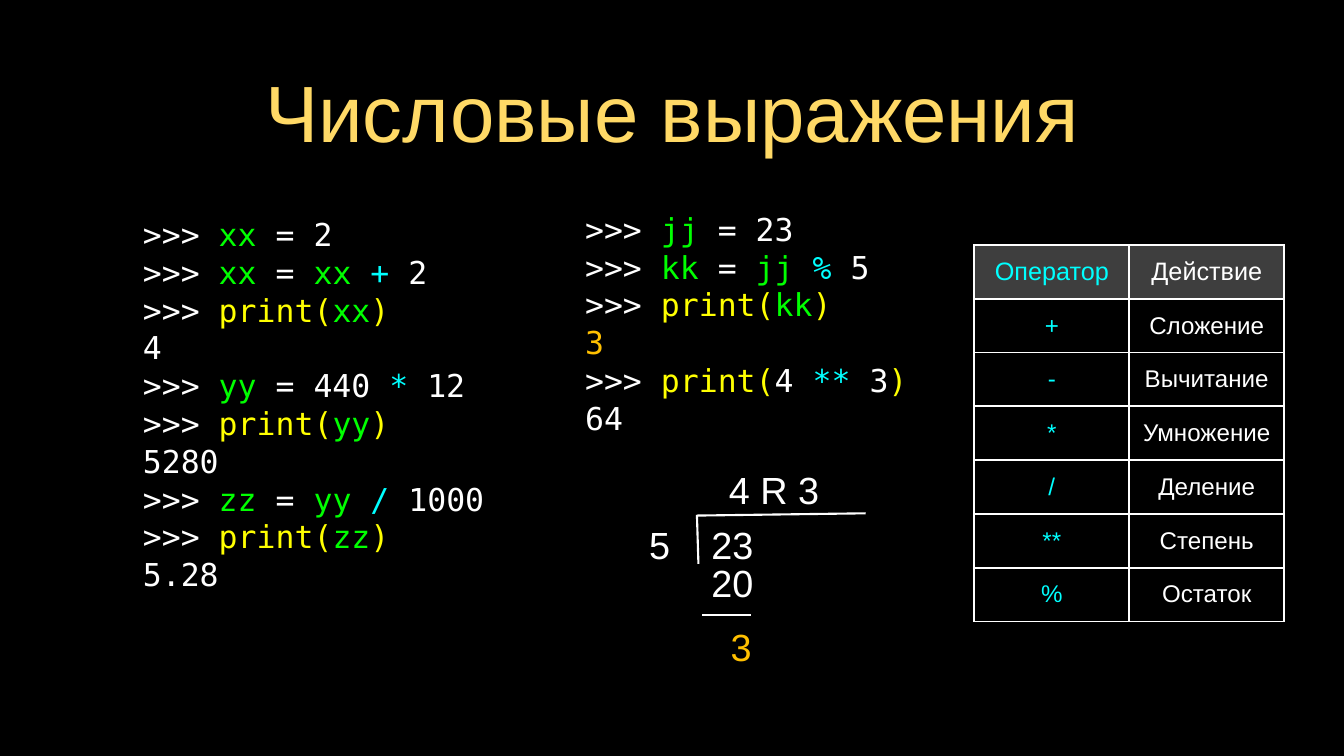
import pptx
import pptx.util
import pptx.dml.color
import pptx.enum.shapes
import pptx.enum.text
import pptx.oxml.ns
from lxml import etree

Inches, Pt = pptx.util.Inches, pptx.util.Pt
RGBColor = pptx.dml.color.RGBColor
ALIGN = pptx.enum.text.PP_ALIGN
MIDDLE = pptx.enum.text.MSO_ANCHOR.MIDDLE
qn = pptx.oxml.ns.qn

BLACK = RGBColor(0x00, 0x00, 0x00)
WHITE = RGBColor(0xFF, 0xFF, 0xFF)
GOLD = RGBColor(0xFF, 0xD9, 0x66)
GREEN = RGBColor(0x00, 0xFF, 0x00)
CYAN = RGBColor(0x00, 0xFF, 0xFF)
YELLOW = RGBColor(0xFF, 0xFF, 0x00)
ORANGE = RGBColor(0xFF, 0xC0, 0x00)
GREY = RGBColor(0x7F, 0x7F, 0x7F)

SANS, MONO = "Arial", "DejaVu Sans Mono"

TOKEN_COLOURS = {
    **dict.fromkeys(["xx", "yy", "zz", "jj", "kk"], GREEN),
    **dict.fromkeys(["+", "*", "/", "%", "**"], CYAN),
    **dict.fromkeys(["print(", ")"], YELLOW),
}

# "|" separates the tokens of a line
LEFT_CODE = [
    ">>> |xx| = 2",
    ">>> |xx| = |xx |+| 2",
    ">>> |print(|xx|)",
    "4",
    ">>> |yy| = 440 |*| 12",
    ">>> |print(|yy|)",
    "5280",
    ">>> |zz| = |yy |/| 1000",
    ">>> |print(|zz|)",
    "5.28",
]
RIGHT_CODE = [
    ">>> |jj| = 23",
    ">>> |kk| = |jj |% |5",
    ">>> |print(|kk|)",
    "3",
    ">>> |print(|4 |** |3|)",
    "64",
]
REMAINDER = "3"

OPERATORS = [
    ("Оператор", "Действие"),
    ("+", "Сложение"),
    ("-", "Вычитание"),
    ("*", "Умножение"),
    ("/", "Деление"),
    ("**", "Степень"),
    ("%", "Остаток"),
]


def set_font(r, name, size, colour):
    r.font.name = name
    r.font.size = Pt(size)
    r.font.bold = False
    r.font.color.rgb = colour


def set_margins(frame, inches):
    frame.margin_left = frame.margin_right = Inches(inches)
    frame.margin_top = frame.margin_bottom = Inches(inches)


def add_text_frame(s, x, y, w, h):
    sp = s.shapes.add_textbox(Inches(x), Inches(y), Inches(w), Inches(h))
    tf = sp.text_frame
    tf.word_wrap = True
    tf.vertical_anchor = MIDDLE
    set_margins(tf, 0)
    return tf


def add_title(s, x, y, w, h):
    sp = s.shapes.title
    sp.left, sp.top, sp.width, sp.height = map(Inches, (x, y, w, h))
    tf = sp.text_frame
    tf.text = "Числовые выражения"
    tf.vertical_anchor = MIDDLE
    set_margins(tf, 0.04)
    p = tf.paragraphs[0]
    p.alignment = ALIGN.CENTER
    set_font(p.runs[0], SANS, 76, GOLD)


def add_code(s, lines, x, y, w, h):
    tf = add_text_frame(s, x, y, w, h)
    for i, line in enumerate(lines):
        p = tf.add_paragraph() if i else tf.paragraphs[0]
        p.line_spacing = Pt(36)
        for token in line.split("|"):
            r = p.add_run()
            r.text = token
            colour = TOKEN_COLOURS.get(token.strip(), WHITE)
            set_font(r, MONO, 30, ORANGE if line == REMAINDER else colour)


def add_cell_borders(cell):
    tc_pr = cell._tc.get_or_add_tcPr()
    for side in ("a:lnL", "a:lnR", "a:lnT", "a:lnB"):
        ln = etree.SubElement(tc_pr, qn(side), w=str(Pt(2)))
        fill = etree.SubElement(ln, qn("a:solidFill"))
        etree.SubElement(fill, qn("a:srgbClr"), val=str(WHITE))


def fill_header(cell):
    """Fill the cell with half-transparent grey."""
    cell.fill.solid()
    cell.fill.fore_color.rgb = GREY
    colour = cell._tc.tcPr.find(qn("a:solidFill"))[0]
    etree.SubElement(colour, qn("a:alpha"), val="49000")


def add_operator_table(s, x, y, w, h):
    rows, cols = len(OPERATORS), len(OPERATORS[0])
    table = s.shapes.add_table(rows, cols, Inches(x), Inches(y),
                               Inches(w), Inches(h)).table
    table.first_row = table.horz_banding = False
    for i, texts in enumerate(OPERATORS):
        for cell, text, colour in zip(table.rows[i].cells, texts, (CYAN, WHITE)):
            cell.text_frame.text = text
            cell.vertical_anchor = MIDDLE
            set_margins(cell, 0.04)
            p = cell.text_frame.paragraphs[0]
            p.alignment = ALIGN.CENTER
            set_font(p.runs[0], SANS, 23 if i else 24, colour)
            add_cell_borders(cell)
            if i:
                cell.fill.background()
            else:
                fill_header(cell)


def add_line(s, x1, y1, x2, y2):
    line = s.shapes.add_connector(pptx.enum.shapes.MSO_CONNECTOR.STRAIGHT,
                                  *map(Inches, (x1, y1, x2, y2)))
    line.line.color.rgb = WHITE
    line.line.width = Pt(2)
    etree.SubElement(line._element.spPr, qn("a:effectLst"))


def add_number(s, text, x, y, w, colour=WHITE):
    tf = add_text_frame(s, x, y, w, 0.68)
    tf.text = text
    p = tf.paragraphs[0]
    p.alignment = ALIGN.CENTER
    set_font(p.runs[0], SANS, 36, colour)


def add_long_division(s, x, y):
    add_line(s, x + 0.68, y + 0.68, x + 0.7, y + 1.33)
    add_line(s, x + 0.68, y + 0.69, x + 2.91, y + 0.66)
    add_number(s, "5", x, y + 0.73, 0.37)
    add_number(s, "23", x + 0.84, y + 0.73, 0.62)
    add_number(s, "4 R 3", x + 1.1, y, 1.2)
    add_number(s, "20", x + 0.84, y + 1.23, 0.62)
    add_line(s, x + 0.75, y + 2.01, x + 1.39, y + 2.01)
    add_number(s, REMAINDER, x + 1.08, y + 2.08, 0.37, ORANGE)


def main():
    prs = pptx.Presentation()
    prs.slide_width, prs.slide_height = Inches(17.78), Inches(10)
    s = prs.slides.add_slide(prs.slide_layouts.get_by_name("Title Only"))
    s.background.fill.solid()
    s.background.fill.fore_color.rgb = BLACK

    add_title(s, 0.89, 0.86, 16, 1.21)
    add_code(s, LEFT_CODE, 1.89, 2.44, 4.88, 5.81)
    add_code(s, RIGHT_CODE, 7.74, 2.51, 4.4, 3.53)
    add_operator_table(s, 12.89, 3.24, 4.1, 4.98)
    add_long_division(s, 8.54, 6.13)
    prs.save("out.pptx")


if __name__ == "__main__":
    main()
